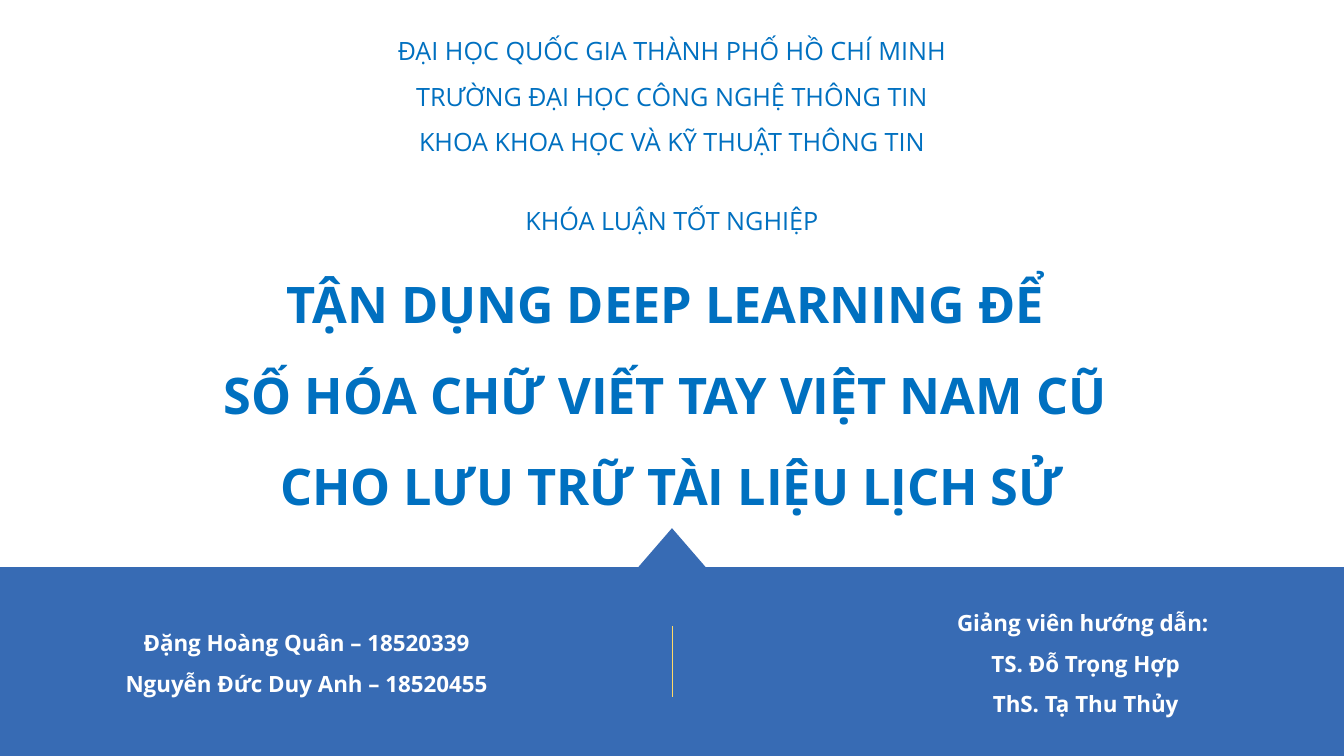
"""Builds the title slide of a graduation thesis defence."""
import pptx
import pptx.dml.color
import pptx.enum.shapes
import pptx.enum.text
import pptx.oxml.ns
import pptx.util
import lxml.etree

PX = 9525
COLOURS = {"band": "376BB4", "title": "0070C0", "light": "FFFFFF", "divider": "FFD966"}
FORMATS = {
    "heading": {"size": 18, "bold": False, "colour": "title"},
    "title": {"size": 36, "bold": True, "colour": "title"},
    "people": {"size": 16, "bold": True, "colour": "light"},
}


class TitleSlide:
    def __init__(self, deck):
        self.font_name = "Open Sans"
        self.line_spacing = 1.5
        self.page = deck.slides.add_slide(deck.slide_layouts[6])

    def colour(self, name):
        return pptx.dml.color.RGBColor.from_string(COLOURS[name])

    def band(self, points, fill):
        builder = self.page.shapes.build_freeform(*points[0], scale=PX)
        builder.add_line_segments(points[1:], close=True)
        shape = builder.convert_to_shape()
        shape.shadow.inherit = False
        shape.fill.solid()
        shape.fill.fore_color.rgb = self.colour(fill)
        shape.line.fill.background()

    def divider(self, x, top, bottom, colour):
        line = self.page.shapes.add_connector(
            pptx.enum.shapes.MSO_CONNECTOR.STRAIGHT, x * PX, top * PX, x * PX, bottom * PX)
        line.line.color.rgb = self.colour(colour)
        line.line.width = pptx.util.Pt(0.5)
        lxml.etree.SubElement(line._element.spPr, pptx.oxml.ns.qn("a:effectLst"))

    def text(self, place, lines, style, anchor="TOP", fit="SHAPE_TO_FIT_TEXT"):
        box = self.page.shapes.add_textbox(*(length * PX for length in place))
        frame = box.text_frame
        frame.word_wrap = True
        frame.auto_size = getattr(pptx.enum.text.MSO_AUTO_SIZE, fit)
        frame.vertical_anchor = getattr(pptx.enum.text.MSO_ANCHOR, anchor)
        look = FORMATS[style]
        values = {"name": self.font_name, "size": pptx.util.Pt(look["size"]), "bold": look["bold"]}
        for index, line in enumerate(lines):
            para = frame.add_paragraph() if index else frame.paragraphs[0]
            para.alignment = pptx.enum.text.PP_ALIGN.CENTER
            para.line_spacing = self.line_spacing
            span = para.add_run()
            span.text = line
            for key, value in values.items():
                setattr(span.font, key, value)
            span.font.color.rgb = self.colour(look["colour"])


def main():
    deck = pptx.Presentation()
    deck.slide_width, deck.slide_height = 1280 * PX, 720 * PX
    slide = TitleSlide(deck)
    slide.band([(640, 503), (672, 540), (1280, 540), (1280, 727), (0, 727), (0, 540), (608, 540)],
               "band")
    slide.text((30, 227, 1220, 262), [
        "TẬN DỤNG DEEP LEARNING ĐỂ ",
        "SỐ HÓA CHỮ VIẾT TAY VIỆT NAM CŨ ",
        "CHO LƯU TRỮ TÀI LIỆU LỊCH SỬ",
    ], "title")
    slide.divider(640, 596, 664, "divider")
    slide.text((90, 582, 404, 83), [
        "Đặng Hoàng Quân – 18520339",
        "Nguyễn Đức Duy Anh – 18520455",
    ], "people")
    slide.text((878, 563, 312, 122), [
        "Giảng viên hướng dẫn: ",
        "TS. Đỗ Trọng Hợp",
        "ThS. Tạ Thu Thủy",
    ], "people")
    slide.text((256, 192, 768, 37), ["KHÓA LUẬN TỐT NGHIỆP"], "heading", "BOTTOM", "NONE")
    slide.text((157, 15, 966, 136), [
        "ĐẠI HỌC QUỐC GIA THÀNH PHỐ HỒ CHÍ MINH",
        "TRƯỜNG ĐẠI HỌC CÔNG NGHỆ THÔNG TIN",
        "KHOA KHOA HỌC VÀ KỸ THUẬT THÔNG TIN",
    ], "heading")
    deck.save("out.pptx")


if __name__ == "__main__":
    main()
